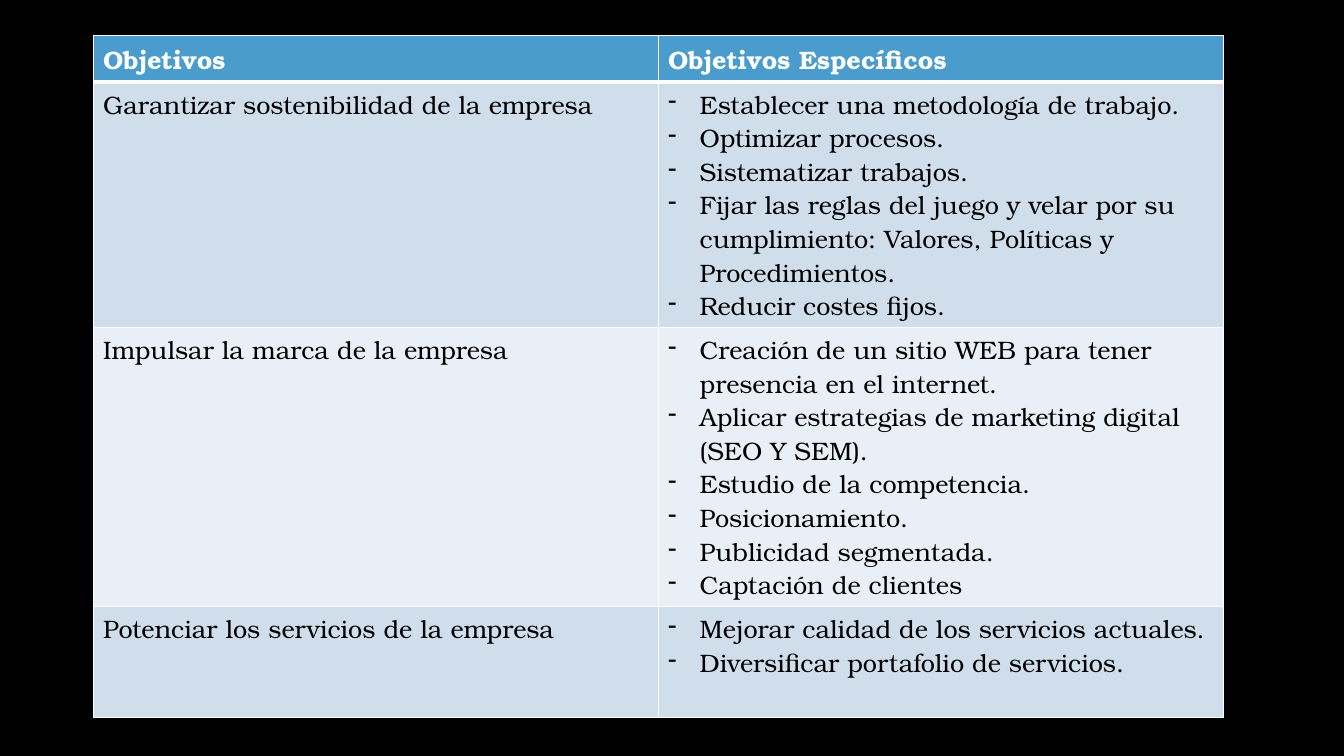
"""Build the slide of general and specific company objectives."""
from dataclasses import dataclass

from lxml import etree
from pptx import Presentation
from pptx.dml.color import RGBColor
from pptx.oxml import ns
from pptx.util import Pt


@dataclass(frozen=True)
class Theme:
    """Colours, type and line widths of the slide."""
    font: str = "TeX Gyre Bonum"
    size: int = 18
    backdrop: str = "000000"
    header_fill: str = "4A9CCC"
    header_text: str = "FFFFFF"
    body_text: str = "000000"
    bands: tuple = ("D0DEEC", "E9EFF6")
    border: str = "FFFFFF"
    thin: int = 1
    thick: int = 3


THEME = Theme()
HEADERS = ("Objetivos", "Objetivos Específicos")
OBJECTIVES = (
    ("Garantizar sostenibilidad de la empresa", (
        "Establecer una metodología de trabajo.",
        "Optimizar procesos.",
        "Sistematizar trabajos.",
        "Fijar las reglas del juego y velar por su cumplimiento: "
        "Valores, Políticas y Procedimientos.",
        "Reducir costes fijos.")),
    ("Impulsar la marca de la empresa", (
        "Creación de un sitio WEB para tener presencia en el internet.",
        "Aplicar estrategias de marketing digital (SEO Y SEM).",
        "Estudio de la competencia.",
        "Posicionamiento.",
        "Publicidad segmentada.",
        "Captación de clientes")),
    ("Potenciar los servicios de la empresa", (
        "Mejorar calidad de los servicios actuales.",
        "Diversificar portafolio de servicios.")),
)
LEFT, TOP, COLUMN_WIDTH = 66.5, 25.2, 403.6
ROW_HEIGHTS = (32, 175.2, 199.2, 79.2)
BULLET_INDENT = 22.5


def paint(fill, color):
    """Give a fill one solid colour."""
    fill.solid()
    fill.fore_color.rgb = RGBColor.from_string(color)


def add_borders(cell, widths):
    """Draw the cell's borders, given widths in points by side."""
    properties = cell._tc.get_or_add_tcPr()
    for index, (side, width) in enumerate(widths.items()):
        line = etree.Element(ns.qn(f"a:ln{side}"), w=str(Pt(width)))
        solid = etree.SubElement(line, ns.qn("a:solidFill"))
        etree.SubElement(solid, ns.qn("a:srgbClr"), val=THEME.border)
        properties.insert(index, line)


def add_dash(para):
    """Turn a paragraph into a dash item with a hanging indent."""
    properties = para._p.get_or_add_pPr()
    indent = Pt(BULLET_INDENT)
    properties.set("marL", str(indent))
    properties.set("indent", str(-indent))
    etree.SubElement(properties, ns.qn("a:buChar"), char="-")


def write_cell(cell, lines, color, bold=False, dashed=False):
    """Write one paragraph per line in the cell."""
    format_values = {"name": THEME.font, "size": Pt(THEME.size), "bold": bold}
    frame = cell.text_frame
    for index, line in enumerate(lines):
        para = frame.add_paragraph() if index else frame.paragraphs[0]
        span = para.add_run()
        span.text = line
        for name, value in format_values.items():
            setattr(span.font, name, value)
        span.font.color.rgb = RGBColor.from_string(color)
        if dashed:
            add_dash(para)


def add_objectives_table(page):
    """Place the table and fill its header and objective rows."""
    table = page.shapes.add_table(
        len(ROW_HEIGHTS), len(HEADERS), Pt(LEFT), Pt(TOP),
        Pt(COLUMN_WIDTH * len(HEADERS)), Pt(sum(ROW_HEIGHTS))).table
    table.horz_banding = False
    for column in table.columns:
        column.width = Pt(COLUMN_WIDTH)
    for number, height in enumerate(ROW_HEIGHTS):
        row = table.rows[number]
        row.height = Pt(height)
        band = THEME.bands[(number - 1) % len(THEME.bands)]
        widths = dict.fromkeys("LRTB", THEME.thin)
        if number == 0:
            widths["B"] = THEME.thick
        elif number == 1:
            widths["T"] = THEME.thick
        for cell in row.cells:
            paint(cell.fill, band if number else THEME.header_fill)
            add_borders(cell, widths)
    for cell, header in zip(table.rows[0].cells, HEADERS):
        write_cell(cell, [header], THEME.header_text, bold=True)
    for number, (goal, steps) in enumerate(OBJECTIVES, start=1):
        write_cell(table.cell(number, 0), [goal], THEME.body_text)
        write_cell(table.cell(number, 1), steps, THEME.body_text, dashed=True)


def main():
    """Create the deck and save it."""
    deck = Presentation()
    deck.slide_width, deck.slide_height = Pt(960), Pt(540)
    page = deck.slides.add_slide(deck.slide_layouts[6])
    paint(page.background.fill, THEME.backdrop)
    add_objectives_table(page)
    deck.save("out.pptx")


if __name__ == "__main__":
    main()
